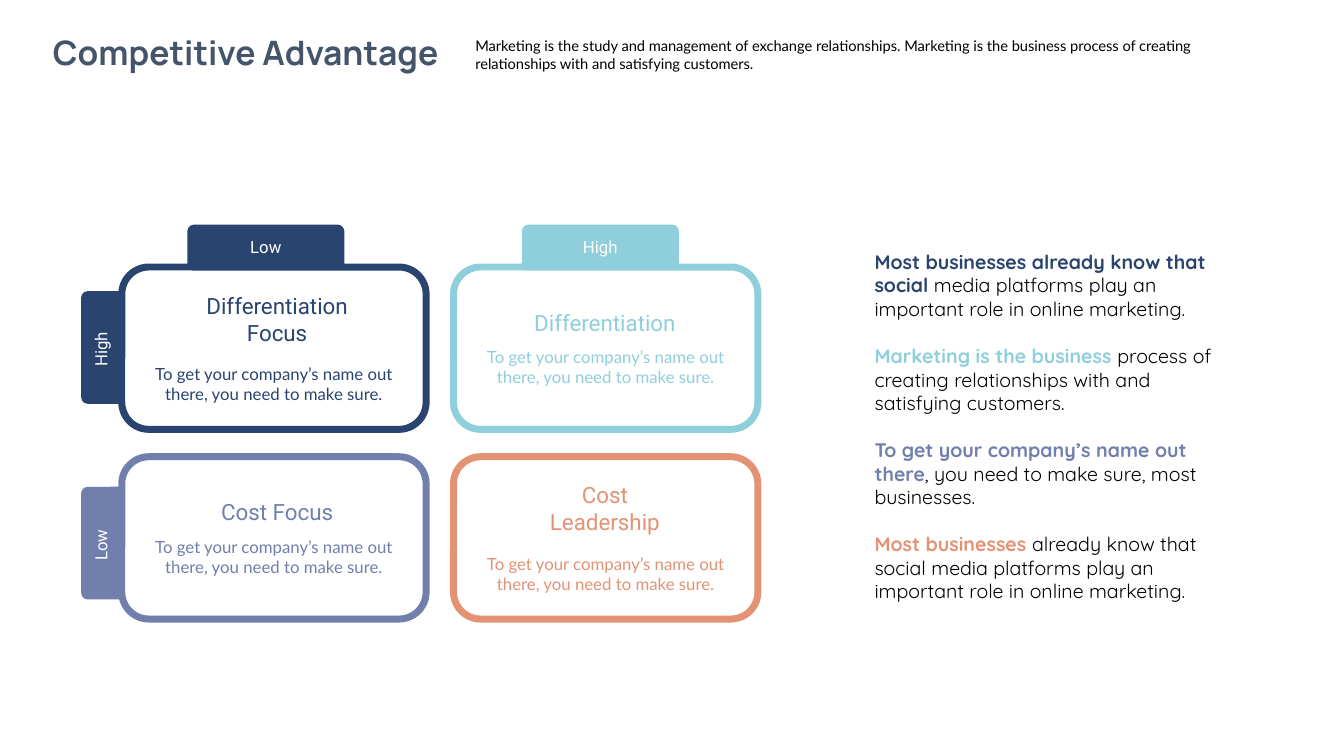
from pptx import Presentation
from pptx.dml.color import RGBColor
from pptx.enum.shapes import MSO_SHAPE
from pptx.enum.text import MSO_AUTO_SIZE, PP_ALIGN
from pptx.util import Cm, Pt

TITLE = "Competitive Advantage"
INTRO = ("Marketing is the study and management of exchange relationships. "
         "Marketing is the business process of creating relationships with "
         "and satisfying customers.")
CARD_BODY = "To get your company’s name out there, you need to make sure."

# heading, heading lines, colour, column, row
CARDS = [
    ("Differentiation Focus", 2, "navy", 0, 0),
    ("Differentiation", 1, "aqua", 1, 0),
    ("Cost Focus", 1, "violet", 0, 1),
    ("Cost Leadership", 2, "coral", 1, 1),
]
COLUMN_TABS = [("Low", "navy"), ("High", "aqua")]
ROW_TABS = [("High", "navy"), ("Low", "violet")]

# colour, highlighted start, rest of the paragraph
NOTES = [
    ("navy", "Most businesses already know that social ",
     "media platforms play an important role in online marketing."),
    ("aqua", "Marketing is the business ",
     "process of creating relationships with and satisfying customers."),
    ("violet", "To get your company’s name out there",
     ", you need to make sure, most businesses."),
    ("coral", "Most businesses ",
     "already know that social media platforms play an important role "
     "in online marketing."),
]

THEME = {
    "color": {"navy": "29446F", "aqua": "8FCFDC", "violet": "717FAC",
              "coral": "E39274", "slate": "44546A", "black": "000000",
              "white": "FFFFFF"},
    "title": ("Manrope", 24),
    "intro": ("Lato", 10.5),
    "tab": ("Roboto", 12),
    "heading": ("Roboto", 16),
    "body": ("Lato", 12),
    "notes": ("Quicksand", 14),
    "card_line": 5,
    "note_gap": 16.8,
}

# Lengths in centimetres
CARD_W, CARD_H = 7.67, 4.09
CARD_LEFT, CARD_TOP = 3.07, 6.73
CARD_PITCH_X, CARD_PITCH_Y = 8.36, 4.78
HEADING_LEFT, HEADING_PITCH, HEADING_W = 4.8, 8.26, 4.37
BODY_W, BODY_H = 6.96, 1.27
# heading lines: heading offset, heading height, body offset
CARD_ROWS = {1: (0.93, 0.94, 1.89), 2: (0.5, 1.63, 2.31)}
COLUMN_TAB = {"left": 4.72, "top": 5.66, "width": 3.96, "height": 1.02}
ROW_TAB = {"left": 1.12, "top": 8.26, "width": 2.84, "height": 0.99}
COLUMN_TAB_PITCH, ROW_TAB_PITCH = 8.43, 4.93
LABEL_W, LABEL_H = 1.65, 0.76


def color(name):
    return RGBColor.from_string(THEME["color"][name])


def add_text(page, paragraphs, at, style, align=PP_ALIGN.LEFT, wrap=True,
             gap=0, rotation=0):
    """Add a text box; each paragraph is a list of (text, colour, bold)."""
    box = page.shapes.add_textbox(*map(Cm, at))
    box.rotation = rotation
    frame = box.text_frame
    frame.word_wrap = wrap
    frame.auto_size = MSO_AUTO_SIZE.SHAPE_TO_FIT_TEXT
    font_name, size = THEME[style]
    for index, spans in enumerate(paragraphs):
        para = frame.add_paragraph() if index else frame.paragraphs[0]
        para.alignment = align
        para.space_before = Pt(gap if index else 0)
        for text, color_name, bold in spans:
            span = para.add_run()
            span.text = text
            span.font.name = font_name
            span.font.size = Pt(size)
            span.font.bold = bold
            span.font.color.rgb = color(color_name)


def add_tab(page, label, color_name, left, top, width, height, rotation=0):
    tab = page.shapes.add_shape(MSO_SHAPE.ROUND_2_SAME_RECTANGLE,
                                Cm(left), Cm(top), Cm(width), Cm(height))
    tab.rotation = rotation
    tab.shadow.inherit = False
    tab.fill.solid()
    tab.fill.fore_color.rgb = color(color_name)
    tab.line.fill.background()
    label_at = (left + (width - LABEL_W) / 2, top + (height - LABEL_H) / 2 + 0.05,
                LABEL_W, LABEL_H)
    add_text(page, [[(label, "white", False)]], label_at, "tab",
             align=PP_ALIGN.CENTER, rotation=rotation)


def add_card(page, heading, lines, color_name, column, row):
    left = CARD_LEFT + column * CARD_PITCH_X
    top = CARD_TOP + row * CARD_PITCH_Y
    card = page.shapes.add_shape(MSO_SHAPE.ROUNDED_RECTANGLE,
                                 Cm(left), Cm(top), Cm(CARD_W), Cm(CARD_H))
    card.shadow.inherit = False
    card.fill.background()
    card.line.color.rgb = color(color_name)
    card.line.width = Pt(THEME["card_line"])

    heading_offset, heading_height, body_offset = CARD_ROWS[lines]
    heading_at = (HEADING_LEFT + column * HEADING_PITCH, top + heading_offset,
                  HEADING_W, heading_height)
    body_at = (left + (CARD_W - BODY_W) / 2, top + body_offset, BODY_W, BODY_H)
    add_text(page, [[(heading, color_name, False)]], heading_at, "heading",
             align=PP_ALIGN.CENTER)
    add_text(page, [[(CARD_BODY, color_name, False)]], body_at, "body",
             align=PP_ALIGN.CENTER)


def main():
    deck = Presentation()
    deck.slide_width, deck.slide_height = Cm(33.87), Cm(19.05)
    page = deck.slides.add_slide(deck.slide_layouts[6])

    add_text(page, [[(TITLE, "slate", True)]], (0.64, 0.69, 11.1, 1.27), "title",
             align=PP_ALIGN.CENTER, wrap=False)
    add_text(page, [[(INTRO, "black", False)]], (11.73, 0.81, 19.61, 1.14), "intro")

    for column, (label, color_name) in enumerate(COLUMN_TABS):
        place = {**COLUMN_TAB, "left": COLUMN_TAB["left"] + column * COLUMN_TAB_PITCH}
        add_tab(page, label, color_name, **place)
    for row, (label, color_name) in enumerate(ROW_TABS):
        place = {**ROW_TAB, "top": ROW_TAB["top"] + row * ROW_TAB_PITCH}
        add_tab(page, label, color_name, **place, rotation=270)
    for card in CARDS:
        add_card(page, *card)

    notes = [[(start, color_name, True), (rest, "black", False)]
             for color_name, start, rest in NOTES]
    add_text(page, notes, (21.79, 6.17, 9.65, 9.25), "notes", gap=THEME["note_gap"])

    deck.save("out.pptx")


if __name__ == "__main__":
    main()
